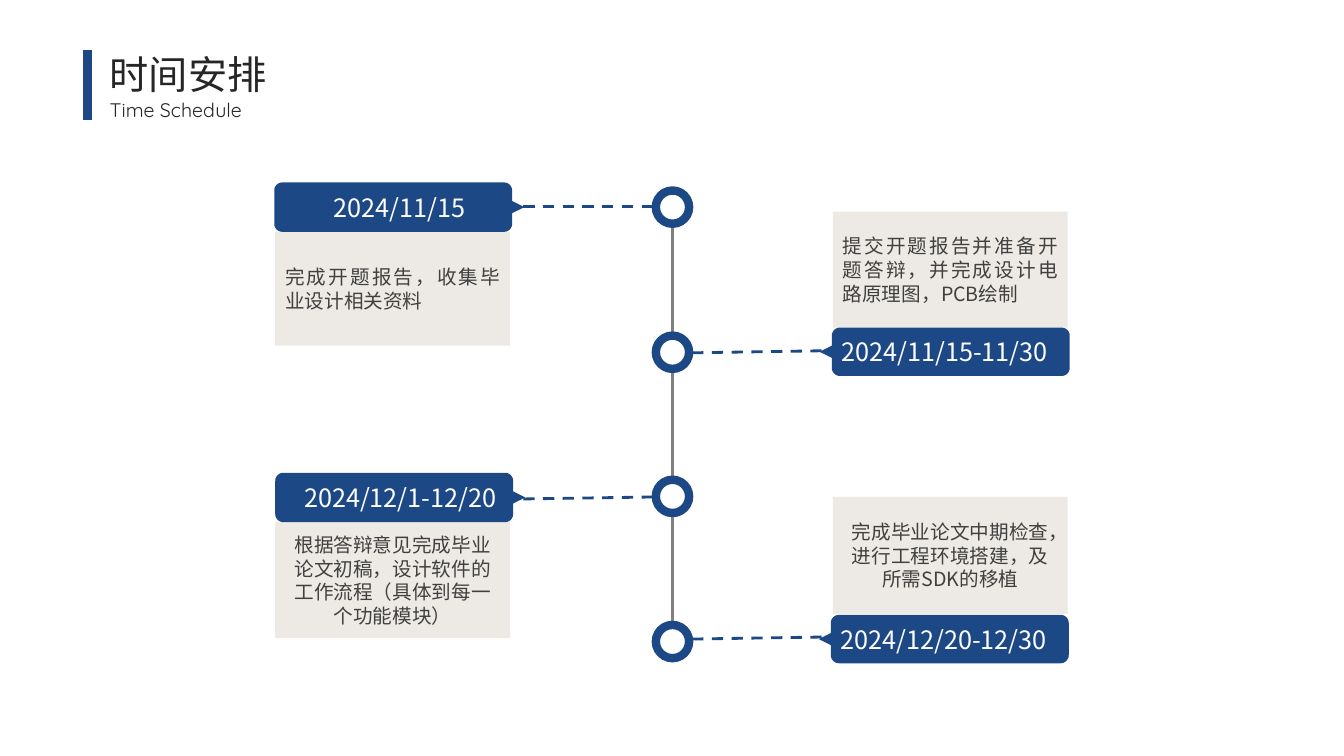
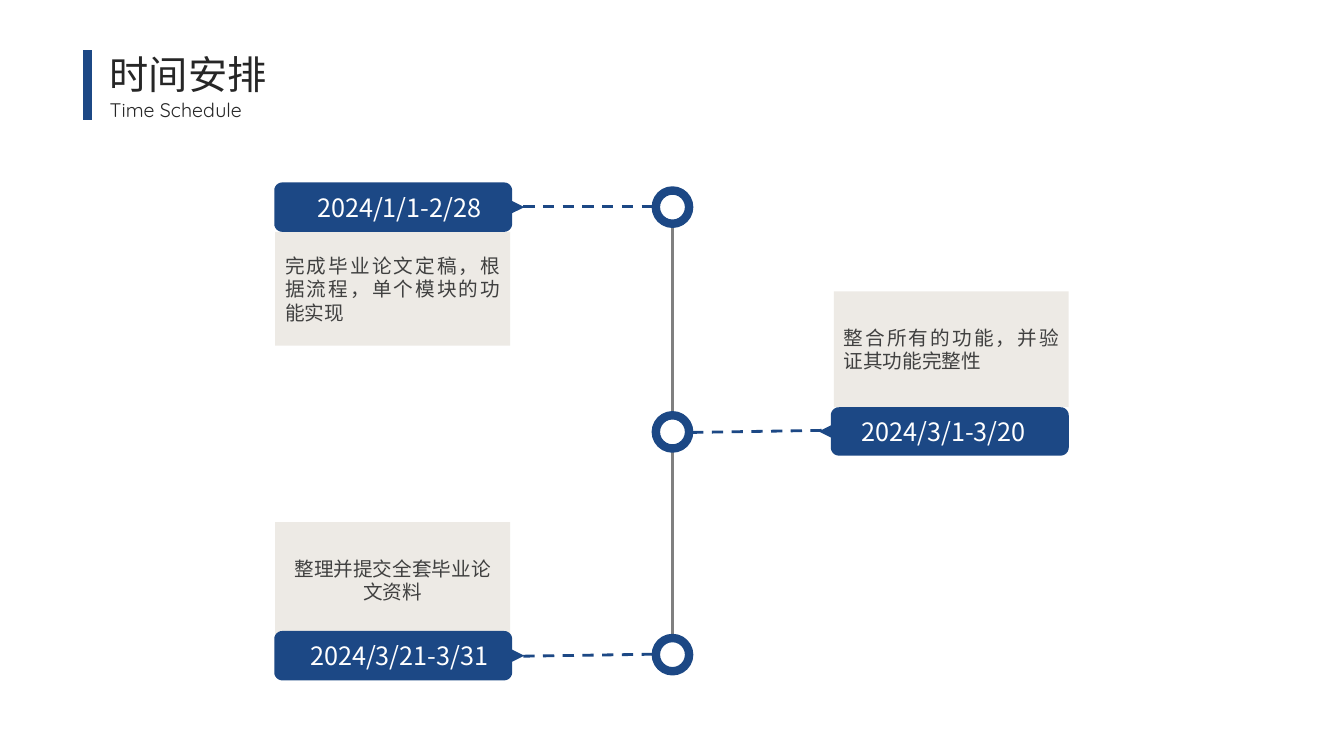
import math
from lxml import etree
from pptx import Presentation
from pptx import util as u
from pptx.dml.color import RGBColor
from pptx.enum import dml, shapes, text
from pptx.oxml.ns import qn

BLUE = RGBColor(0x1C, 0x48, 0x85)
BEIGE = RGBColor(0xED, 0xEA, 0xE5)
GREY = RGBColor(0x80, 0x80, 0x80)
INK = RGBColor(0x26, 0x26, 0x26)
BODY = RGBColor(0x40, 0x40, 0x40)
WHITE = RGBColor(0xFF, 0xFF, 0xFF)
CJK, LATIN = "Noto Sans CJK SC", "Quicksand"

LEFT, CENTER, JUSTIFY = text.PP_ALIGN.LEFT, text.PP_ALIGN.CENTER, text.PP_ALIGN.JUSTIFY

HEADINGS = [
    ("时间安排", (0.99, 0.45, 2.78, 0.57), 28, CJK, LEFT),
    ("Time Schedule", (0.99, 0.92, 2.46, 0.34), 14, LATIN, JUSTIFY),
]
SIDES = {
    "left": dict(dash=(5.19, 6.5), tag_height=0.49),
    "right": dict(dash=(8.15, 6.87), tag_height=0.48),
}
BOX_WIDTH, TAG_WIDTH, TAG_BODY = 2.33, 2.48, 2.36
CORNER, NOTCH = 0.08, 0.06
AXIS_X, AXIS_TOP, AXIS_BOTTOM, RING = 6.67, 1.89, 6.54, 0.33

SLIDES = [
    [
        dict(side="left", date="2024/11/15", tag=(2.72, 1.81), box=(2.73, 2.3, 1.13),
             ring=1.89, dash=(2.05, 2.05), align=JUSTIFY,
             note="完成开题报告，收集毕业设计相关资料"),
        dict(side="right", date="2024/11/15-11/30", tag=(8.13, 3.25), box=(8.26, 2.1, 1.15),
             ring=3.33, dash=(3.48, 3.5), align=JUSTIFY,
             note="提交开题报告并准备开题答辩，并完成设计电路原理图，PCB绘制"),
        dict(side="left", date="2024/12/1-12/20", tag=(2.73, 4.69), box=(2.73, 5.18, 1.15),
             ring=4.76, dash=(4.95, 4.93), align=CENTER,
             note="根据答辩意见完成毕业论文初稿，设计软件的工作流程（具体到每一个功能模块）"),
        dict(side="right", date="2024/12/20-12/30", tag=(8.12, 6.1), box=(8.26, 4.93, 1.16),
             ring=6.2, dash=(6.32, 6.34), align=CENTER,
             note="完成毕业论文中期检查，进行工程环境搭建，及所需SDK的移植"),
    ],
    [
        dict(side="left", date="2024/1/1-2/28", tag=(2.72, 1.81), box=(2.73, 2.3, 1.13),
             ring=1.89, dash=(2.05, 2.05), align=JUSTIFY,
             note="完成毕业论文定稿，根据流程，单个模块的功能实现"),
        dict(side="right", date="2024/3/1-3/20", tag=(8.12, 4.04), box=(8.27, 2.89, 1.15),
             ring=4.12, dash=(4.27, 4.29), align=JUSTIFY,
             note="整合所有的功能，并验证其功能完整性"),
        dict(side="left", date="2024/3/21-3/31", tag=(2.72, 6.26), box=(2.73, 5.18, 1.15),
             ring=6.33, dash=(6.51, 6.49), align=CENTER,
             note="整理并提交全套毕业论文资料"),
    ],
]


def inches(values):
    return [u.Inches(v) for v in values]


def write(sp, words, size, color, align, font=CJK, anchor=text.MSO_ANCHOR.MIDDLE):
    tf = sp.text_frame
    tf.word_wrap = True
    tf.vertical_anchor = anchor
    p = tf.paragraphs[0]
    p.alignment = align
    r = p.add_run()
    r.text = words
    for name, value in dict(size=u.Pt(size), name=font).items():
        setattr(r.font, name, value)
    r.font.color.rgb = color
    etree.SubElement(r.font._element, qn("a:ea")).set("typeface", font)


def paint(sp, fill, line=None, width=0):
    sp.shadow.inherit = False
    sp.fill.solid()
    sp.fill.fore_color.rgb = fill
    if line is None:
        sp.line.fill.background()
    else:
        sp.line.color.rgb = line
        sp.line.width = u.Pt(width)


def connect(s, start, end, color, width, dash=None):
    line = s.shapes.add_connector(shapes.MSO_CONNECTOR.STRAIGHT, *inches(start + end))
    line.line.color.rgb = color
    line.line.width = u.Pt(width)
    if dash:
        line.line.dash_style = dash
    etree.SubElement(line._element.spPr, qn("a:effectLst"))


def tag_outline(height):
    corners = [
        (TAG_BODY - CORNER, CORNER, -90),
        (TAG_BODY - CORNER, height - CORNER, 0),
        (CORNER, height - CORNER, 90),
        (CORNER, CORNER, 180),
    ]
    points = []
    for i, (cx, cy, start) in enumerate(corners):
        for step in range(7):
            a = math.radians(start + 15 * step)
            points.append((cx + CORNER * math.cos(a), cy + CORNER * math.sin(a)))
        if i == 0:
            mid = height / 2
            points += [(TAG_BODY, mid - NOTCH), (TAG_WIDTH, mid), (TAG_BODY, mid + NOTCH)]
    return points


def add_tag(s, m):
    x, y = m["tag"]
    points = tag_outline(SIDES[m["side"]]["tag_height"])
    if m["side"] == "right":
        points = [(TAG_WIDTH - dx, dy) for dx, dy in points]
    points = [inches((x + dx, y + dy)) for dx, dy in points]
    builder = s.shapes.build_freeform(*points[0])
    builder.add_line_segments(points[1:], close=True)
    sp = builder.convert_to_shape()
    paint(sp, BLUE)
    write(sp, m["date"], 18, WHITE, CENTER)


def add_heading(s):
    for words, place, size, font, align in HEADINGS:
        sp = s.shapes.add_textbox(*inches(place))
        write(sp, words, size, INK, align, font, text.MSO_ANCHOR.TOP)
        sp.text_frame.auto_size = text.MSO_AUTO_SIZE.SHAPE_TO_FIT_TEXT
    connect(s, (0.87, 0.5), (0.87, 1.19), BLUE, 6)


def add_milestone(s, m):
    x, y, height = m["box"]
    box = s.shapes.add_shape(shapes.MSO_SHAPE.RECTANGLE, *inches((x, y, BOX_WIDTH, height)))
    paint(box, BEIGE)
    write(box, m["note"], 14, BODY, m["align"])
    ring = s.shapes.add_shape(
        shapes.MSO_SHAPE.OVAL, *inches((AXIS_X - RING / 2, m["ring"], RING, RING)))
    paint(ring, WHITE, BLUE, 6)
    add_tag(s, m)
    start, end = zip(SIDES[m["side"]]["dash"], m["dash"])
    connect(s, start, end, BLUE, 2, dml.MSO_LINE.DASH)


def main():
    prs = Presentation()
    prs.slide_width, prs.slide_height = inches((13.33, 7.5))
    for milestones in SLIDES:
        s = prs.slides.add_slide(prs.slide_layouts[6])
        add_heading(s)
        connect(s, (AXIS_X, AXIS_TOP), (AXIS_X, AXIS_BOTTOM), GREY, 2)
        for m in milestones:
            add_milestone(s, m)
    prs.save("out.pptx")


if __name__ == "__main__":
    main()
